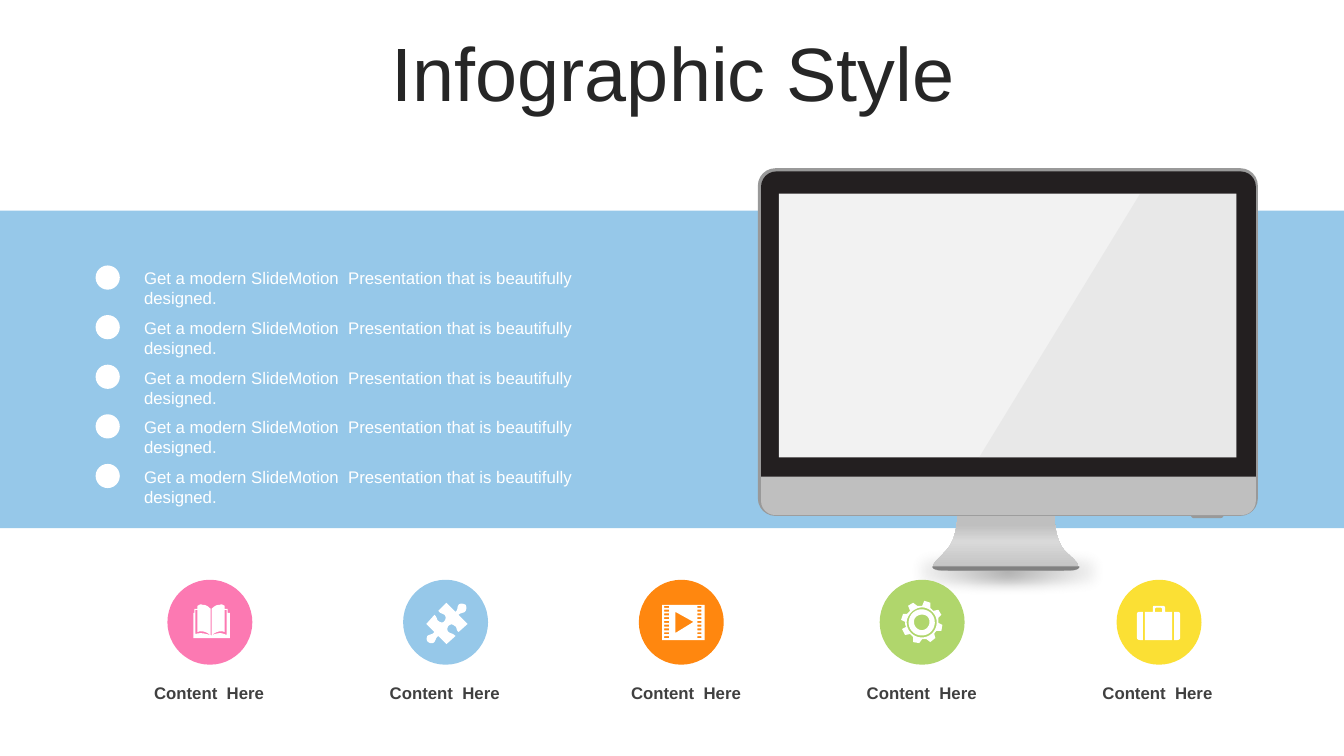
"""Build the Infographic Style slide with a monitor, five statements and five icons."""
from dataclasses import dataclass

from lxml import etree
from pptx import Presentation
from pptx.dml.color import RGBColor
from pptx.enum.shapes import MSO_SHAPE
from pptx.enum.text import MSO_ANCHOR, PP_ALIGN
from pptx.oxml import parse_xml
from pptx.oxml.ns import nsdecls, qn
from pptx.util import Cm, Pt

RECTANGLE, ELLIPSE = MSO_SHAPE.RECTANGLE, MSO_SHAPE.OVAL
ROUNDED, ROUNDED_PAIR = MSO_SHAPE.ROUNDED_RECTANGLE, MSO_SHAPE.ROUND_2_SAME_RECTANGLE
LEFT, CENTER = PP_ALIGN.LEFT, PP_ALIGN.CENTER
TOP, MIDDLE = MSO_ANCHOR.TOP, MSO_ANCHOR.MIDDLE


@dataclass(frozen=True)
class Theme:
    font: str = "Arial"
    title_size: int = 54
    text_size: int = 12
    white: str = "FFFFFF"
    title: str = "262626"
    label: str = "404040"
    blue: str = "96C8E9"
    pink: str = "FC79B2"
    orange: str = "FF870F"
    green: str = "B0D66C"
    yellow: str = "FBE034"
    frame: str = "999999"
    bezel: str = "231F20"
    silver: str = "BFBFBF"
    shine: str = "D9D9D9"
    shade: str = "808080"
    screen: str = "F2F2F2"


THEME = Theme()
UNIT = Cm(0.0254)
CURVE_STEPS = 8

STAND = ("M 1056 546 C 1046 535 1046 511 1046 511 L 950 511 C 950 511 950 535 939 546 "
         "C 929 557 913 567 941 567 L 1055 567 C 1083 567 1067 557 1056 546 Z")
TAB = "M 1182 511 C 1182 511 1181 513 1184 514 L 1211 514 C 1211 514 1214 514 1214 511 Z"
FOOT = ("M 925 562 C 925 565 930 566 941 566 L 1055 566 "
        "C 1067 566 1071 565 1071 562 Z")
GLARE = "M 1131 192.5 L 1227 192.5 L 1227 454.5 L 971 454.5 Z"
BOOK = ("M 209 630 C 209 630 210 631 210 630 C 216 628 219 627 225 630 L 225 605 L 223 605 "
        "L 223 627 C 219 625 214 627 210 630 L 210 604 C 213 601 215 600 218 600 "
        "C 220 599 221 600 223 601 L 223 604 L 226 604 L 226 608 L 228 608 L 228 633 "
        "L 192 633 L 192 608 L 193 608 L 193 604 L 196 604 L 196 601 "
        "C 198 600 199 599 201 600 C 204 600 206 601 209 604 L 209 630 "
        "C 205 627 200 625 196 627 L 196 605 L 194 605 L 194 629 C 200 627 204 629 209 630 Z")
PUZZLE = ("M 462 600 C 463 602 463 604 462 606 C 460 609 458 607 455 610 L 464 619 L 455 627 "
          "C 452 625 454 622 451 621 C 449 619 447 619 445 621 C 444 622 443 625 445 627 "
          "C 448 629 449 628 452 631 L 443 639 L 435 631 C 432 633 433 634 431 637 "
          "C 429 639 426 638 425 637 C 423 636 423 633 424 631 C 426 629 429 630 431 627 "
          "L 423 619 L 431 610 C 434 612 433 615 435 616 C 437 618 440 618 441 616 "
          "C 442 615 443 612 441 610 C 438 608 437 609 435 606 L 443 598 L 452 607 "
          "C 455 604 453 603 455 600 C 457 598 460 599 462 600 Z")
GEAR = ("M 917 610 C 913 609 908 611 907 615 C 906 620 909 624 913 625 "
        "C 917 626 921 623 922 619 C 923 615 921 611 917 610 Z "
        "M 918 605 C 925 607 929 614 927 621 C 925 628 918 632 911 630 "
        "C 904 628 900 621 902 614 C 904 607 911 603 918 605 Z "
        "M 918 603 C 911 601 903 606 900 614 C 898 622 903 630 911 632 "
        "C 919 634 927 629 929 621 C 931 613 926 605 918 603 Z "
        "M 923 598 L 923 603 C 924 604 925 605 926 606 L 931 605 L 934 610 L 931 613 "
        "C 931 615 931 616 931 618 L 935 620 L 934 626 L 929 626 C 928 627 927 628 927 629 "
        "L 928 633 L 923 637 L 919 634 C 918 634 916 634 915 634 L 912 638 L 906 637 L 906 632 "
        "C 905 631 904 630 903 629 L 898 630 L 895 624 L 899 622 C 898 620 898 619 898 617 "
        "L 894 615 L 896 609 L 900 609 C 901 608 902 607 903 606 L 901 601 L 906 598 L 910 601 "
        "C 912 601 913 601 915 601 L 917 596 Z")
SUITCASE = ("M 1165 607 L 1168 607 C 1170 607 1171 608 1171 610 L 1171 632 "
            "C 1171 634 1170 635 1168 635 L 1165 635 Z "
            "M 1131 607 L 1134 607 L 1134 635 L 1131 635 C 1129 635 1128 634 1128 632 "
            "L 1128 610 C 1128 608 1129 607 1131 607 Z "
            "M 1147 603 C 1146 603 1146 604 1146 605 L 1146 607 L 1153 607 L 1153 605 "
            "C 1153 604 1153 603 1152 603 Z "
            "M 1145 601 L 1154 601 C 1155 601 1156 602 1156 603 L 1156 607 L 1163 607 "
            "L 1163 635 L 1136 635 L 1136 607 L 1144 607 L 1144 603 C 1144 602 1144 601 1145 601 Z")
FILM = "M 657 600 L 699 600 L 699 635 L 657 635 Z M 670 607 L 670 628 L 688 617 Z"
for row in range(9):
    hole_top = 601 + 3.75 * row
    for left, right in ((659, 664), (692, 696)):
        FILM += (f" M {left} {hole_top} L {left} {hole_top + 2}"
                 f" L {right} {hole_top + 2} L {right} {hole_top} Z")

presentation = Presentation()
presentation.slide_width, presentation.slide_height = Cm(33.87), Cm(19.05)
slide = presentation.slides.add_slide(presentation.slide_layouts[6])


def draw(outline, color, box=(), rounding=()):
    """Draw a preset in a box, or a path given in hundredths of an inch."""
    if box:
        shape = slide.shapes.add_shape(outline, *map(Cm, box))
        for index, value in enumerate(rounding):
            shape.adjustments[index] = value
    else:
        builder = None
        for segment in outline.replace(" Z", "").replace("M", "|M").replace(
                "L", "|L").replace("C", "|C").split("|")[1:]:
            command, *numbers = segment.split()
            values = [float(number) * UNIT for number in numbers]
            points = list(zip(values[::2], values[1::2]))
            if command == "C":
                controls = [pen, *points]
                steps = [step / CURVE_STEPS for step in range(1, CURVE_STEPS + 1)]
                points = [tuple((1 - t) ** 3 * a + 3 * (1 - t) ** 2 * t * b
                                + 3 * (1 - t) * t ** 2 * c + t ** 3 * d
                                for a, b, c, d in zip(*controls)) for t in steps]
            pen = points[-1]
            if builder is None:
                builder = slide.shapes.build_freeform(*pen, scale=1.0)
            elif command == "M":
                builder.move_to(*pen)
            else:
                builder.add_line_segments(points, close=False)
        shape = builder.convert_to_shape()
    shape.shadow.inherit = False
    shape.fill.solid()
    shape.fill.fore_color.rgb = RGBColor.from_string(color)
    shape.line.fill.background()
    return shape


def add_text(text, box, color, size=THEME.text_size, bold=False, align=LEFT,
             anchor=TOP, line_spacing=1.0):
    """Add one paragraph of text in a wrapping box."""
    frame = slide.shapes.add_textbox(*map(Cm, box)).text_frame
    frame.word_wrap = True
    frame.vertical_anchor = anchor
    paragraph = frame.paragraphs[0]
    paragraph.text = text
    paragraph.alignment = align
    paragraph.line_spacing = line_spacing
    font = paragraph.font
    font.name, font.size, font.bold = THEME.font, Pt(size), bold
    font.color.rgb = RGBColor.from_string(color)


draw(RECTANGLE, THEME.blue, (0, 5.31, 33.87, 8.0))
floor_shadow = draw(ELLIPSE, THEME.shade, (19.23, 13.77, 12.32, 1.24))
stand = draw(STAND, THEME.silver)
draw(ROUNDED, THEME.frame, (19.1, 4.24, 12.6, 8.76), (0.05,))
draw(TAB, THEME.frame)
draw(ROUNDED_PAIR, THEME.bezel, (19.18, 4.32, 12.47, 7.7), (0.05, 0))
draw(FOOT, THEME.shade)
draw(ROUNDED_PAIR, THEME.silver, (19.18, 12.01, 12.47, 0.97), (0, 0.37))
draw(RECTANGLE, THEME.screen, (19.63, 4.88, 11.53, 6.65))
glare = draw(GLARE, THEME.frame)
glare_color = next(glare.element.spPr.iter(qn("a:srgbClr")))
etree.SubElement(glare_color, qn("a:alpha")).set("val", "10000")

RADIAL = ('<a:path path="circle"><a:fillToRect l="50000" t="50000" r="50000" b="50000"/>'
          '</a:path>')
gradients = [
    (floor_shadow, [(0, THEME.shade, 60), (42, THEME.shade, 0), (100, THEME.shade, 0)], RADIAL),
    (stand, [(0, THEME.silver, 100), (53, THEME.shine, 100), (83, THEME.silver, 100),
             (100, THEME.silver, 100)], '<a:lin ang="16200000" scaled="0"/>'),
]
for shape, stops, direction in gradients:
    stop_xml = "".join(
        f'<a:gs pos="{position * 1000}"><a:srgbClr val="{color}">'
        f'<a:alpha val="{opacity * 1000}"/></a:srgbClr></a:gs>'
        for position, color, opacity in stops)
    properties = shape.element.spPr
    properties.replace(properties.find(qn("a:solidFill")), parse_xml(
        f'<a:gradFill {nsdecls("a")}><a:gsLst>{stop_xml}</a:gsLst>{direction}</a:gradFill>'))
effects = floor_shadow.element.spPr.find(qn("a:effectLst"))
etree.SubElement(effects, qn("a:softEdge")).set("rad", str(Cm(0.3)))

for row in range(5):
    offset = 1.25 * row
    draw(ELLIPSE, THEME.white, (2.41, 6.69 + offset, 0.61, 0.61))
    add_text("Get a modern SlideMotion  Presentation that is beautifully designed.",
             (3.38, 6.63 + offset, 13.11, 0.76), THEME.white)

topics = [
    (4.22, 3.25, THEME.pink, BOOK),
    (10.16, 9.19, THEME.blue, PUZZLE),
    (16.1, 15.27, THEME.orange, FILM),
    (22.17, 21.21, THEME.green, GEAR),
    (28.14, 27.15, THEME.yellow, SUITCASE),
]
for circle_left, label_left, color, icon in topics:
    draw(ELLIPSE, color, (circle_left, 14.61, 2.14, 2.14))
    draw(icon, THEME.white)
    add_text("Content  Here", (label_left, 17.07, 4.04, 0.76), THEME.label,
             bold=True, align=CENTER)

add_text("Infographic Style", (0.89, 0.94, 32.16, 2.01), THEME.title,
         size=THEME.title_size, align=CENTER, anchor=MIDDLE, line_spacing=0.9)

presentation.save("out.pptx")
